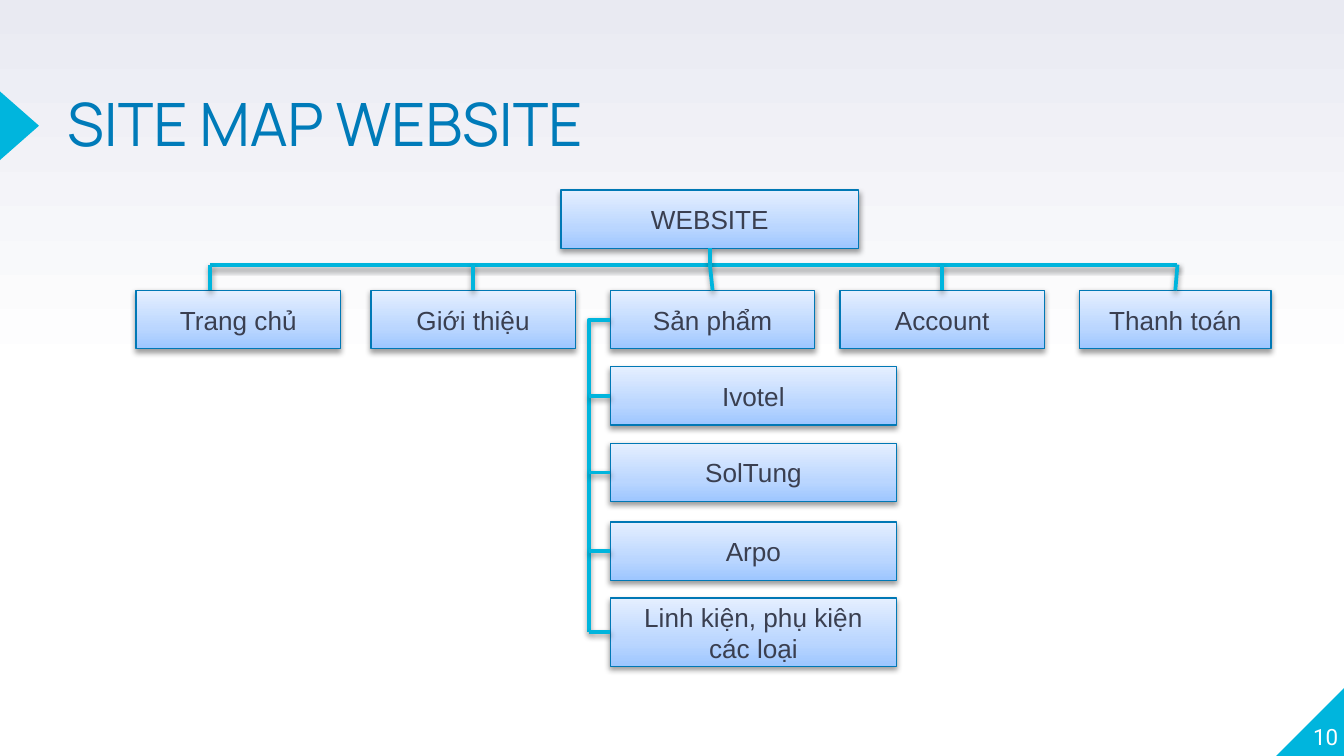
from pptx import Presentation
from pptx.dml.color import RGBColor
from pptx.enum import shapes, text
from pptx.oxml import parse_xml
from pptx.oxml.ns import nsdecls, qn
from pptx.util import Pt


class Theme:
    cyan = "00B5DD"
    title = "007BB9"
    edge = "0078B5"
    ink = "3A3F50"
    white = "FFFFFF"
    page = [(0, "FFFFFF"), (50, "FFFFFF"), (100, "E9EAF2")]
    box = [(0, "9DC6FF"), (35, "BAD6FF"), (100, "E5EFFF")]
    big, mid, small = 32, 14, 12


SHADOW = (f'<a:effectLst {nsdecls("a")}><a:outerShdw blurRad="{Pt(3.1)}" '
          f'dist="{Pt(1.6)}" dir="5400000" rotWithShape="0">'
          '<a:srgbClr val="000000"><a:alpha val="38000"/></a:srgbClr>'
          '</a:outerShdw></a:effectLst>')


def write(shape, words, size=Theme.mid, font="Arial", color=Theme.ink,
          align=text.PP_ALIGN.CENTER, anchor=text.MSO_ANCHOR.MIDDLE,
          inset=None, spacing=None):
    frame = shape.text_frame
    frame.word_wrap = True
    frame.vertical_anchor = anchor
    if inset is not None:
        frame.margin_left = frame.margin_right = Pt(inset)
        frame.margin_top = frame.margin_bottom = Pt(inset)
    para = frame.paragraphs[0]
    para.alignment = align
    para.line_spacing = spacing
    run = para.add_run()
    run.text = words
    run.font.size = Pt(size)
    run.font.name = font
    run.font.color.rgb = RGBColor.from_string(color)


def grade(fill, root, stops):
    """Fill with a gradient that runs from the bottom up."""
    fill.gradient()
    fill.gradient_angle = 90
    group = root.find(".//" + qn("a:gsLst"))
    group.clear()
    for pos, color in stops:
        group.append(parse_xml(
            f'<a:gs {nsdecls("a")} pos="{pos * 1000}">'
            f'<a:srgbClr val="{color}"/></a:gs>'))


deck = Presentation()
deck.slide_width, deck.slide_height = Pt(720), Pt(405)
slide = deck.slides.add_slide(deck.slide_layouts[6])
grade(slide.background.fill, slide.element, Theme.page)
items = slide.shapes
kind = shapes.MSO_SHAPE
link = shapes.MSO_CONNECTOR

# Page corner and title marker
for form, spot, turn in [
        (kind.RIGHT_TRIANGLE, (683.6, 368.6, 36.4, 36.4), 270),
        (kind.ISOSCELES_TRIANGLE, (-7.9, 56.9, 36.7, 20.9), 90)]:
    mark = items.add_shape(form, *map(Pt, spot))
    mark.rotation = turn
    mark.shadow.inherit = False
    mark.fill.solid()
    mark.fill.fore_color.rgb = RGBColor.from_string(Theme.cyan)
    mark.line.fill.background()

title = items.add_textbox(Pt(36), Pt(54), Pt(444), Pt(24.5))
write(title, "SITE MAP WEBSITE", size=Theme.big, font="Manrope",
      color=Theme.title, align=text.PP_ALIGN.LEFT,
      anchor=text.MSO_ANCHOR.TOP, inset=0, spacing=0.8)
number = items.add_textbox(Pt(681), Pt(365), Pt(36), Pt(36.7))
write(number, "10", size=Theme.small, font="Roboto", color=Theme.white,
      align=text.PP_ALIGN.RIGHT, anchor=text.MSO_ANCHOR.BOTTOM, inset=0)

# Boxes: the root, the row of pages, the column of products
ROW, TALL, COL = 155.6, 31.3, 327
boxes = []
for words, x, y, wide, high in [
        ("WEBSITE", 300.5, 101.8, 159.6, TALL),
        ("Trang chủ", 72.9, ROW, 109.5, TALL),
        ("Giới thiệu", 198.7, ROW, 109.5, TALL),
        ("Sản phẩm", COL, ROW, 109.5, TALL),
        ("Account", 450, ROW, 109.5, TALL),
        ("Thanh toán", 578.3, ROW, 102.7, TALL),
        ("Ivotel", COL, 196.5, 153.3, TALL),
        ("SolTung", COL, 237.5, 153.3, TALL),
        ("Arpo", COL, 279.6, 153.3, TALL),
        ("Linh kiện, phụ kiện các loại", COL, 320.4, 153.3, 36.7)]:
    box = items.add_shape(kind.RECTANGLE, Pt(x), Pt(y), Pt(wide), Pt(high))
    grade(box.fill, box.element.spPr, Theme.box)
    box.line.color.rgb = RGBColor.from_string(Theme.edge)
    box.line.width = Pt(0.75)
    write(box, words)
    boxes.append(box)
root, home, about, goods, account, pay, *brands = boxes

# Lines: a bus above the pages, a rail beside the products
BUS, RAIL, LEFT, RIGHT = Pt(141.8), Pt(315.6), Pt(112.7), Pt(630.8)
mid = root.left + root.width // 2
lines = [items.add_connector(link.STRAIGHT, LEFT, BUS, RIGHT, BUS),
         items.add_connector(link.STRAIGHT, LEFT, BUS, LEFT, home.top)]

rail = items.add_connector(link.ELBOW, goods.left, goods.top + goods.height // 2,
                           RAIL, brands[-1].top + brands[-1].height // 2)
rail.element.spPr.find(qn("a:prstGeom")).set("prst", "bentConnector2")
lines.append(rail)

joins = [(root, 2, mid, BUS), (about, 0, about.left + about.width // 2, BUS),
         (goods, 0, mid, BUS),
         (account, 0, account.left + account.width // 2, BUS),
         (pay, 0, RIGHT, BUS)]
joins += [(box, 1, RAIL, box.top + box.height // 2) for box in brands]
for box, side, x, y in joins:
    line = items.add_connector(link.STRAIGHT, x, y, x, y)
    line.begin_connect(box, side)
    lines.append(line)

for line in lines:
    line.line.color.rgb = RGBColor.from_string(Theme.cyan)
    line.line.width = Pt(2)
for part in boxes + lines:
    part.element.spPr.append(parse_xml(SHADOW))

deck.save("out.pptx")
